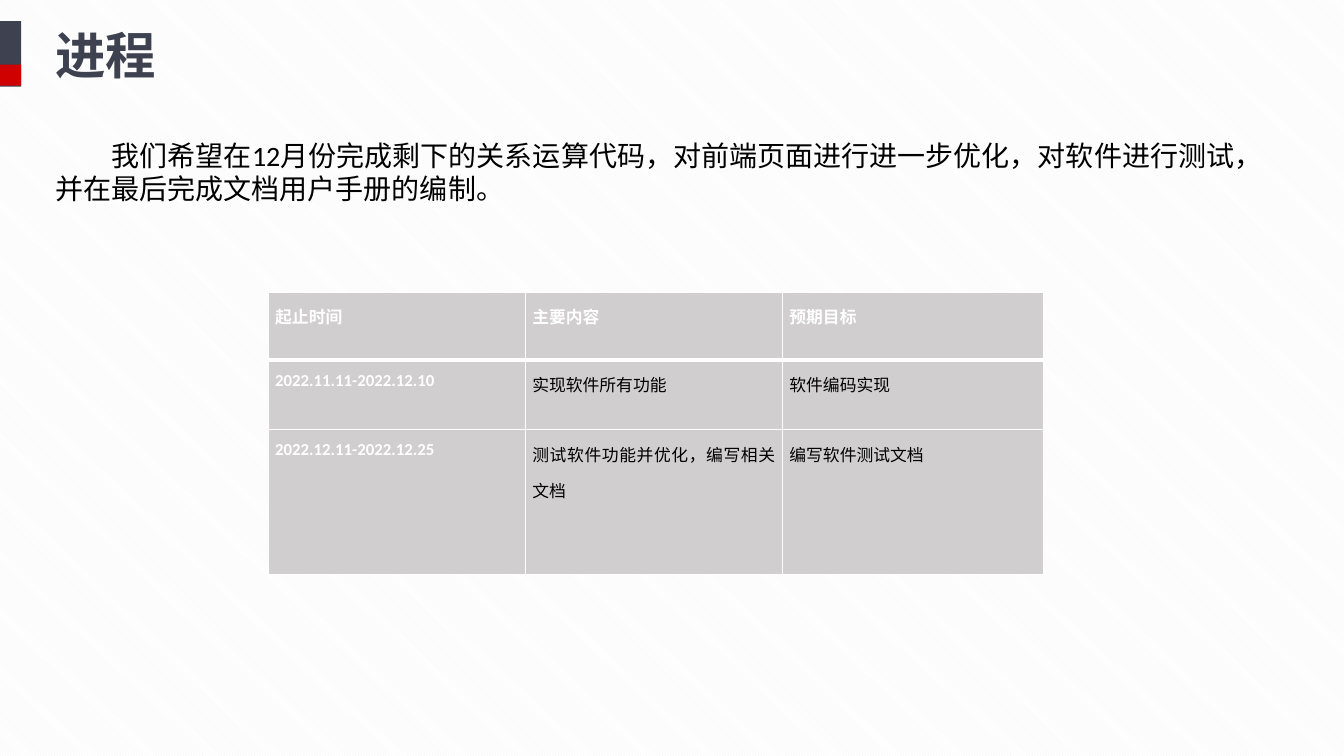
"""Builds the project schedule slide: heading, plan paragraph and timetable."""
from lxml.etree import SubElement
from pptx import Presentation
from pptx.dml.color import RGBColor
from pptx.enum.dml import MSO_PATTERN
from pptx.enum.shapes import MSO_SHAPE
from pptx.enum.text import PP_ALIGN
from pptx.oxml.ns import qn
from pptx.util import Inches, Pt

LATIN, CJK = "Calibri", "Noto Sans CJK SC"
DARK, RED, GREY, WHITE, BLACK = "3E4150", "CF0101", "D0CECE", "FFFFFF", "000000"

TITLE = "进程"
PLAN = ("我们希望在12月份完成剩下的关系运算代码，对前端页面进行进一步优化，"
        "对软件进行测试，并在最后完成文档用户手册的编制。")
SCHEDULE = [
    ("起止时间", "主要内容", "预期目标"),
    ("2022.11.11-2022.12.10", "实现软件所有功能", "软件编码实现"),
    ("2022.12.11-2022.12.25", "测试软件功能并优化，编写相关文档", "编写软件测试文档"),
]
COL_WIDTHS = (2.55, 2.55, 2.59)
ROW_HEIGHTS = (0.67, 0.69, 1.44)
MARKERS = [(0.21, 0.65, DARK), (0.64, 0.21, RED)]


def rgb(color):
    return RGBColor.from_string(color)


def add_run(p, text, size, color, bold=False, latin=LATIN, cjk=CJK):
    r = p.add_run()
    r.text = text
    r.font.size, r.font.bold, r.font.name = Pt(size), bold, latin
    r.font.color.rgb = rgb(color)
    SubElement(r.font._element, qn("a:ea"), typeface=cjk)


def add_text(slide, box, wrap):
    tf = slide.shapes.add_textbox(*map(Inches, box)).text_frame
    tf.word_wrap = wrap
    return tf.paragraphs[0]


def set_borders(cell, bottom):
    tc_pr = cell._tc.get_or_add_tcPr()
    for i, (side, width) in enumerate(zip("LRTB", (1, 1, 1, bottom))):
        ln = tc_pr.makeelement(qn(f"a:ln{side}"), {"w": str(Pt(width))})
        SubElement(SubElement(ln, qn("a:solidFill")), qn("a:srgbClr"), val=WHITE)
        tc_pr.insert(i, ln)


def add_schedule(slide):
    table = slide.shapes.add_table(
        len(SCHEDULE), len(COL_WIDTHS), Inches(2.66), Inches(2.9),
        Inches(sum(COL_WIDTHS)), Inches(sum(ROW_HEIGHTS))).table
    for col, width in zip(table.columns, COL_WIDTHS):
        col.width = Inches(width)
    for i, (row, height) in enumerate(zip(table.rows, ROW_HEIGHTS)):
        row.height = Inches(height)
        for j, (cell, text) in enumerate(zip(row.cells, SCHEDULE[i])):
            cell.fill.solid()
            cell.fill.fore_color.rgb = rgb(GREY)
            cell.margin_left = cell.margin_right = Inches(0.07)
            cell.margin_top = cell.margin_bottom = 0
            set_borders(cell, 3 if i == 0 else 1)
            p = cell.text_frame.paragraphs[0]
            p.alignment, p.line_spacing = PP_ALIGN.JUSTIFY, 1.5
            heading = i == 0 or j == 0
            add_run(p, text, 12, WHITE if heading else BLACK, heading)


def main():
    prs = Presentation()
    prs.slide_width, prs.slide_height = Inches(13.33), Inches(7.5)
    slide = prs.slides.add_slide(prs.slide_layouts[6])
    fill = slide.background.fill
    fill.patterned()
    fill.pattern = MSO_PATTERN.LIGHT_DOWNWARD_DIAGONAL
    fill.fore_color.rgb, fill.back_color.rgb = rgb("F2F2F2"), rgb(WHITE)

    for top, height, color in MARKERS:
        sp = slide.shapes.add_shape(MSO_SHAPE.RECTANGLE, 0, Inches(top),
                                    Inches(0.21), Inches(height))
        sp.shadow.inherit = False
        sp.fill.solid()
        sp.fill.fore_color.rgb = rgb(color)
        sp.line.fill.background()

    p = add_text(slide, (0.45, 0.19, 1.21, 0.71), False)
    add_run(p, TITLE, 36, DARK, True, CJK)
    p = add_text(slide, (0.45, 1.32, 12.11, 0.77), True)
    p._p.get_or_add_pPr().set("indent", str(Inches(0.56)))
    add_run(p, PLAN, 20, BLACK, cjk=LATIN)
    add_schedule(slide)
    prs.save("out.pptx")


if __name__ == "__main__":
    main()
